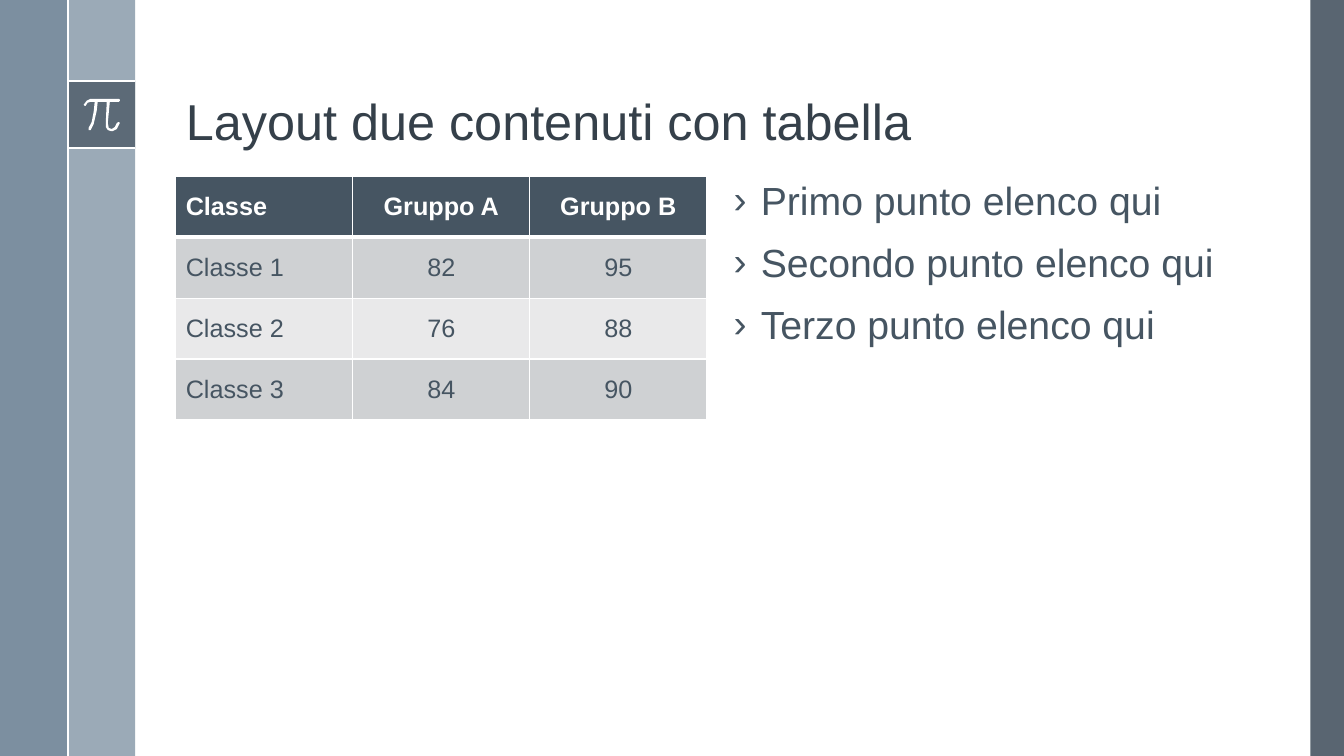
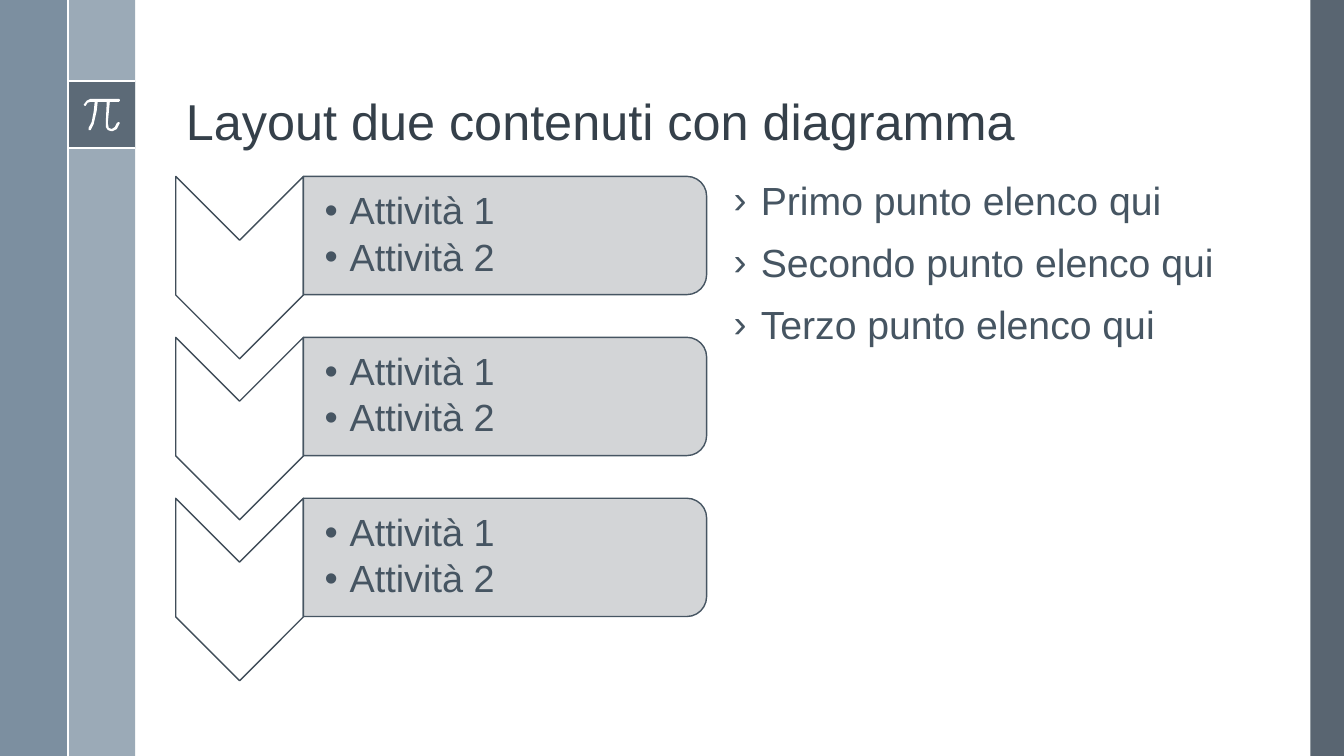
from dataclasses import dataclass

from lxml.etree import SubElement
from pptx import Presentation
from pptx.dml.color import RGBColor
from pptx.enum.shapes import MSO_CONNECTOR, MSO_SHAPE
from pptx.enum.text import MSO_ANCHOR, PP_ALIGN
from pptx.oxml.ns import qn
from pptx.util import Emu, Inches, Pt

COLORS = {
    "title": "35404A", "text": "465562", "white": "FFFFFF", "slate": "475562",
    "mist": "9BAAB7", "steel": "6A8093", "chevron_edge": "404D59",
    "row_dark": "CFD1D3", "row_light": "E9E9EA",
}
FONT = "Arial"
COLUMNS, ROWS = 40, 22.5
CELL = Inches(13.3333) / COLUMNS


def grid(count: float) -> Emu:
    """Turn a number of grid cells into a length."""
    return Emu(round(count * CELL))


@dataclass(frozen=True)
class Area:
    """A rectangle measured in grid columns and rows."""
    col: float
    row: float
    cols: float
    rows: float

    def lengths(self) -> tuple:
        """Give left, top, width and height."""
        return tuple(grid(n) for n in (self.col, self.row, self.cols, self.rows))

    def turned(self) -> "Area":
        """Give the unrotated frame that fills this area after a quarter turn."""
        shift = (self.cols - self.rows) / 2
        return Area(self.col + shift, self.row - shift, self.rows, self.cols)

    def lowered(self, rows: float) -> "Area":
        """Give the same area further down."""
        return Area(self.col, self.row + rows, self.cols, self.rows)


@dataclass(frozen=True)
class Band:
    """A coloured panel of the frame."""
    area: Area
    color: str
    opacity: int = 100


@dataclass(frozen=True)
class Rule:
    """A white line of the frame, in grid cells."""
    start: tuple
    end: tuple


@dataclass(frozen=True)
class ListStyle:
    """The look of a bulleted list."""
    mark: str
    size: float
    indent: float
    before: float = 0
    after: float = 0


BANDS = (
    Band(Area(39, 0, 1, ROWS), "slate", 90),
    Band(Area(2.02, 0, 2, ROWS), "mist"),
    Band(Area(0, 0, 2.02, ROWS), "steel", 88),
    Band(Area(2.02, 2.42, 2, 2), "slate", 75),
)
RULES = (
    Rule((2.02, 2.42), (4.02, 2.42)),
    Rule((2.02, 4.4), (4.02, 4.4)),
    Rule((2.02, 0), (2.02, ROWS)),
)
PI_ORIGIN = (2.49, 2.94)
PI_UNIT = 0.03
PI_OUTLINE = (
    (35, 0), (7, 0), (3, 2), (0, 6), (1, 7), (2, 7), (4, 4), (7, 3), (11, 3),
    (10, 13), (8, 23), (5, 29), (5, 31), (7, 31), (10, 25), (13, 12), (14, 3),
    (23, 3), (22, 24), (22, 28), (24, 31), (27, 32), (29, 32), (33, 30),
    (36, 24), (35, 23), (33, 24), (31, 28), (28, 30), (25, 29), (24, 24),
    (26, 3), (35, 3), (36, 2), (36, 1),
)
TITLE_AREA = Area(5.23, 0.57, 32.1, 4.08)
LEFT_AREA = Area(5.23, 5.25, 15.81, 7.25)
RIGHT_AREA = Area(21.54, 5.25, 15.81, 15)
CHEVRON_AREA = Area(5.23, 5.25, 3.8, 5.43)
STEP_AREA = Area(9.03, 5.25, 12, 3.52)
STEP_TEXT_AREA = Area(9.03, 5.42, 11.82, 3.18)
STEP_PITCH = 4.79

POINTS = ("Primo punto elenco qui", "Secondo punto elenco qui", "Terzo punto elenco qui")
POINT_STYLE = ListStyle("›", 28, 0.27, before=14)
STEPS = (("Attività 1", "Attività 2"),) * 3
STEP_STYLE = ListStyle("•", 27, 0.25, after=4)
SCORES = (
    ("Classe", "Gruppo A", "Gruppo B"),
    ("Classe 1", "82", "95"),
    ("Classe 2", "76", "88"),
    ("Classe 3", "84", "90"),
)


def rgb(name: str) -> RGBColor:
    """Look up a colour by name."""
    return RGBColor.from_string(COLORS[name])


def add_run(paragraph, text: str, size: float, color: str, bold: bool = False) -> None:
    """Add one formatted run."""
    run = paragraph.add_run()
    run.text = text
    run.font.name = FONT
    run.font.size = Pt(size)
    run.font.bold = bold
    run.font.color.rgb = rgb(color)


def paint(shape, fill: str, opacity: int = 100, edge: str = "") -> None:
    """Set fill, opacity and outline, and drop the shadow."""
    shape.shadow.inherit = False
    shape.fill.solid()
    shape.fill.fore_color.rgb = rgb(fill)
    if opacity < 100:
        tint = next(shape.element.spPr.iter(qn("a:srgbClr")))
        SubElement(tint, qn("a:alpha"), val=str(opacity * 1000))
    if edge:
        shape.line.color.rgb = rgb(edge)
        shape.line.width = Pt(1)
    else:
        shape.line.fill.background()


def add_frame(slide) -> None:
    """Draw the side bands, white rules and pi sign."""
    for band in BANDS:
        panel = slide.shapes.add_shape(MSO_SHAPE.RECTANGLE, *band.area.lengths())
        paint(panel, band.color, band.opacity)
    for rule in RULES:
        ends = [grid(n) for n in rule.start + rule.end]
        stroke = slide.shapes.add_connector(MSO_CONNECTOR.STRAIGHT, *ends)
        stroke.line.color.rgb = rgb("white")
        stroke.line.width = Pt(1.5)
        SubElement(stroke.element.spPr, qn("a:effectLst"))
    outline = slide.shapes.build_freeform(*PI_OUTLINE[0], scale=grid(PI_UNIT))
    outline.add_line_segments(PI_OUTLINE[1:], close=True)
    paint(outline.convert_to_shape(*(grid(n) for n in PI_ORIGIN)), "white")


def add_list(slide, area: Area, items: tuple, style: ListStyle):
    """Write a bulleted list and return its text frame."""
    frame = slide.shapes.add_textbox(*area.lengths()).text_frame
    frame.word_wrap = True
    for index, item in enumerate(items):
        paragraph = frame.paragraphs[0] if index == 0 else frame.add_paragraph()
        paragraph.line_spacing = 0.9
        paragraph.space_before = Pt(style.before)
        paragraph.space_after = Pt(style.after)
        properties = paragraph._p.get_or_add_pPr()
        properties.set("marL", str(Inches(style.indent)))
        properties.set("indent", str(-Inches(style.indent)))
        SubElement(properties, qn("a:buFont"), typeface=FONT)
        SubElement(properties, qn("a:buChar"), char=style.mark)
        add_run(paragraph, item, style.size, "text")
    return frame


def add_content_slide(deck, heading: str):
    """Start a slide with the frame, its title and the right-hand list."""
    slide = deck.slides.add_slide(deck.slide_layouts[5])
    add_frame(slide)
    title = slide.shapes.title
    title.left, title.top, title.width, title.height = TITLE_AREA.lengths()
    title.text_frame.vertical_anchor = MSO_ANCHOR.BOTTOM
    paragraph = title.text_frame.paragraphs[0]
    paragraph.alignment = PP_ALIGN.LEFT
    paragraph.line_spacing = 0.9
    add_run(paragraph, heading, 36, "title")
    add_list(slide, RIGHT_AREA, POINTS, POINT_STYLE)
    return slide


def border_cell(cell, row: int) -> None:
    """Give a cell white borders, thicker under the header row."""
    widths = {"L": 1, "R": 1, "T": 3 if row == 1 else 1, "B": 3 if row == 0 else 1}
    properties = cell._tc.get_or_add_tcPr()
    for side, width in widths.items():
        edge = SubElement(properties, qn(f"a:ln{side}"), w=str(Pt(width)))
        fill = SubElement(edge, qn("a:solidFill"))
        SubElement(fill, qn("a:srgbClr"), val=COLORS["white"])


def add_scores(slide) -> None:
    """Draw the table of classes and groups."""
    table = slide.shapes.add_table(len(SCORES), len(SCORES[0]), *LEFT_AREA.lengths()).table
    for row, values in enumerate(SCORES):
        header = row == 0
        fill = "text" if header else ("row_light", "row_dark")[row % 2]
        for col, value in enumerate(values):
            cell = table.cell(row, col)
            border_cell(cell, row)
            cell.fill.solid()
            cell.fill.fore_color.rgb = rgb(fill)
            cell.vertical_anchor = MSO_ANCHOR.MIDDLE
            paragraph = cell.text_frame.paragraphs[0]
            paragraph.alignment = PP_ALIGN.CENTER if col else PP_ALIGN.LEFT
            add_run(paragraph, value, 18, "white" if header else "text", header)


def add_turned(slide, kind: MSO_SHAPE, area: Area):
    """Add a shape turned clockwise by a quarter to fill the area."""
    shape = slide.shapes.add_shape(kind, *area.turned().lengths())
    shape.rotation = 90
    return shape


def add_steps(slide) -> None:
    """Draw the chevron list of activities."""
    for index, activities in enumerate(STEPS):
        drop = index * STEP_PITCH
        chevron = add_turned(slide, MSO_SHAPE.CHEVRON, CHEVRON_AREA.lowered(drop))
        paint(chevron, "white", edge="chevron_edge")
        panel = add_turned(slide, MSO_SHAPE.ROUND_2_SAME_RECTANGLE, STEP_AREA.lowered(drop))
        paint(panel, "row_dark", 90, "text")
        frame = add_list(slide, STEP_TEXT_AREA.lowered(drop), activities, STEP_STYLE)
        frame.vertical_anchor = MSO_ANCHOR.MIDDLE
        frame.margin_left = Inches(0.21)
        frame.margin_top = frame.margin_right = frame.margin_bottom = Inches(0.02)


def main() -> None:
    """Build and save both slides."""
    deck = Presentation()
    deck.slide_width, deck.slide_height = grid(COLUMNS), grid(ROWS)
    add_scores(add_content_slide(deck, "Layout due contenuti con tabella"))
    add_steps(add_content_slide(deck, "Layout due contenuti con diagramma"))
    deck.save("out.pptx")


main()
